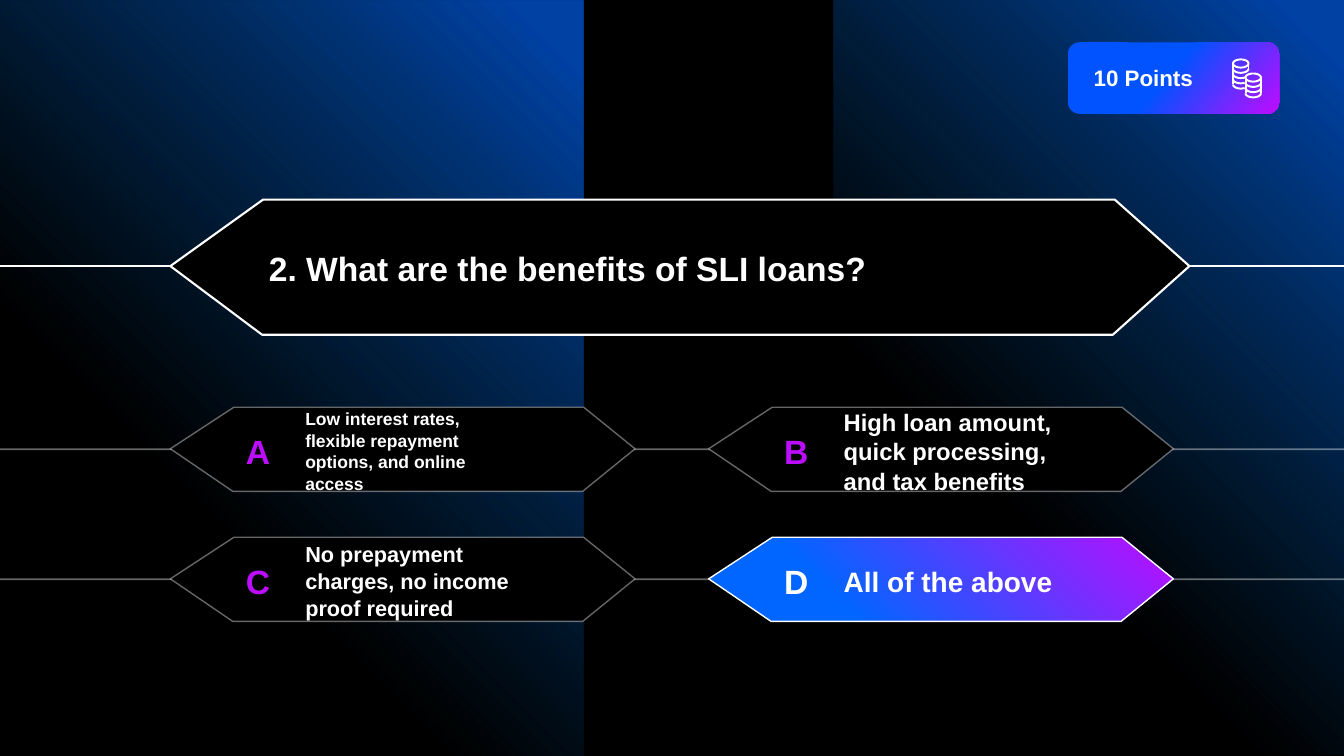
from math import cos, radians, sin

from lxml import etree
from pptx import Presentation
from pptx.dml.color import RGBColor
from pptx.enum.shapes import MSO_CONNECTOR, MSO_SHAPE
from pptx.enum.text import MSO_ANCHOR, PP_ALIGN
from pptx.oxml.ns import qn
from pptx.util import Pt

STRAIGHT = MSO_CONNECTOR.STRAIGHT
RECTANGLE, ROUNDED = MSO_SHAPE.RECTANGLE, MSO_SHAPE.ROUNDED_RECTANGLE
MIDDLE = MSO_ANCHOR.MIDDLE
LEFT, CENTER = PP_ALIGN.LEFT, PP_ALIGN.CENTER

WIDTH, HEIGHT = 960, 540
BLACK, WHITE, PURPLE, BLUE = "000000", "FFFFFF", "BD0DFF", "0066FF"
GLOW = [(6, BLUE, 63), (66, "0070C0", 0), (100, BLACK, 0)]
WINNER = [(0, PURPLE, 100), (73, BLUE, 100)]
BADGE = [(47, "0053FF", 100), (99, PURPLE, 100)]

QUESTION_FRAME = [(0, 47.5), (66.2, 0), (674.6, 0), (727.9, 47.5), (673.2, 96.5), (65.5, 96.5)]
ANSWER_FRAME = [(0, 29.7), (45.4, 0), (295.2, 0), (331.9, 29.7), (294.5, 60.1), (44.6, 60.1)]
FRAME_LEFT, COLUMN_STEP = 121.7, 384.5
ANSWER_TOP, ROW_STEP = 290.9, 92.9
ANSWERS = [
    ("A", "Low interest rates, flexible repayment options, and online access", 12.5),
    ("B", "High loan amount, quick processing, and tax benefits", 17),
    ("C", "No prepayment charges, no income proof required", 15.5),
    ("D", "All of the above", 20),
]
CORRECT = "D"
COIN_WIDTH, COIN_HEIGHT, COIN_STEP = 5.5, 2.9, 3.75


def color(value):
    """Turn a hex string into a colour."""
    return RGBColor.from_string(value)


class QuizSlide:
    """Draws quiz elements on one slide in a shared style."""

    def __init__(self, slide, font="Arial"):
        """Keep the slide and font, and paint the background."""
        self.slide = slide
        self.shapes = slide.shapes
        self.font = font
        slide.background.fill.solid()
        slide.background.fill.fore_color.rgb = color(BLACK)

    def gradient(self, shape, stops, angle=None):
        """Fill a shape with a linear gradient, or one spreading from the top right."""
        shape.fill.gradient()
        fill = shape._element.spPr.find(qn("a:gradFill"))
        for child in list(fill):
            fill.remove(child)
        stop_list = etree.SubElement(fill, qn("a:gsLst"))
        for position, value, opacity in stops:
            stop = etree.SubElement(stop_list, qn("a:gs"), pos=str(position * 1000))
            paint = etree.SubElement(stop, qn("a:srgbClr"), val=value)
            if opacity < 100:
                etree.SubElement(paint, qn("a:alpha"), val=str(opacity * 1000))
        if angle is None:
            spread = etree.SubElement(fill, qn("a:path"), {"path": "circle"})
            etree.SubElement(spread, qn("a:fillToRect"), l="100000", b="100000")
        else:
            etree.SubElement(fill, qn("a:lin"), ang=str(angle * 60000), scaled="0")

    def outline(self, shape, width, opacity=100):
        """Give a shape or connector a white line."""
        shape.line.width = Pt(width)
        shape.line.color.rgb = color(WHITE)
        if opacity < 100:
            paint = shape.line._ln.find(qn("a:solidFill"))[0]
            etree.SubElement(paint, qn("a:alpha"), val=str(opacity * 1000))

    def panel(self, kind, left, top, width, height, stops, angle=None):
        """Add a borderless preset shape with a gradient."""
        shape = self.shapes.add_shape(kind, Pt(left), Pt(top), Pt(width), Pt(height))
        shape.shadow.inherit = False
        shape.line.fill.background()
        self.gradient(shape, stops, angle)
        return shape

    def rule(self, y, width, opacity=100):
        """Add a line across the whole slide."""
        connector = self.shapes.add_connector(STRAIGHT, 0, Pt(y), Pt(WIDTH), Pt(y))
        self.outline(connector, width, opacity)
        etree.SubElement(connector._element.spPr, qn("a:effectLst"))

    def frame(self, points, left, top, line_width, opacity=100, stops=None):
        """Add a pointed frame, black unless it has gradient stops."""
        corners = [(Pt(left + x), Pt(top + y)) for x, y in points]
        builder = self.shapes.build_freeform(*corners[0], scale=1.0)
        builder.add_line_segments(corners[1:], close=True)
        shape = builder.convert_to_shape()
        shape.shadow.inherit = False
        self.outline(shape, line_width, opacity)
        if stops:
            self.gradient(shape, stops)
        else:
            shape.fill.solid()
            shape.fill.fore_color.rgb = color(BLACK)

    def set_text(self, shape, text, size, value=WHITE, align=LEFT, spacing=None):
        """Put bold, vertically centred text in a shape."""
        frame = shape.text_frame
        frame.text = text
        frame.word_wrap = True
        frame.vertical_anchor = MIDDLE
        paragraph = frame.paragraphs[0]
        paragraph.alignment = align
        paragraph.line_spacing = spacing
        font = paragraph.runs[0].font
        font.name, font.size, font.bold = self.font, Pt(size), True
        font.color.rgb = color(value)

    def label(self, left, top, width, height, *style, **options):
        """Add a text box."""
        box = self.shapes.add_textbox(Pt(left), Pt(top), Pt(width), Pt(height))
        self.set_text(box, *style, **options)

    def answer(self, left, top, letter, text, size):
        """Add one answer with its letter."""
        correct = letter == CORRECT
        self.frame(ANSWER_FRAME, left, top, 1, 100 if correct else 40, WINNER if correct else None)
        self.label(left + 89.3, top + 2.2, 167, 57.6, text, size, spacing=1.04)
        self.label(left + 43.9, top + 2.2, 37.4, 57.6, letter, 24,
                   WHITE if correct else PURPLE, CENTER)

    def coins(self, x, y, arc_starts):
        """Add a coin stack whose lower rims begin at the given angles."""
        def rim(level, start, end):
            return [(Pt(x + COIN_WIDTH * cos(radians(angle))),
                     Pt(y + level * COIN_STEP + COIN_HEIGHT * sin(radians(angle))))
                    for angle in range(start, end + 1, 10)]

        strokes = [rim(0, 0, 360)]
        strokes += [rim(level, start, 180) for level, start in enumerate(arc_starts, 1)]
        full_levels = arc_starts.count(0)
        for side, levels in ((-1, len(arc_starts)), (1, full_levels)):
            edge = Pt(x + side * COIN_WIDTH)
            strokes.append([(edge, Pt(y)), (edge, Pt(y + levels * COIN_STEP))])
        builder = self.shapes.build_freeform(*strokes[0][0], scale=1.0)
        builder.add_line_segments(strokes[0][1:], close=False)
        for stroke in strokes[1:]:
            builder.move_to(*stroke[0])
            builder.add_line_segments(stroke[1:], close=False)
        shape = builder.convert_to_shape()
        shape.shadow.inherit = False
        shape.fill.background()
        self.outline(shape, 1.4)


def main():
    """Build and save the quiz slide."""
    presentation = Presentation()
    presentation.slide_width, presentation.slide_height = Pt(WIDTH), Pt(HEIGHT)
    quiz = QuizSlide(presentation.slides.add_slide(presentation.slide_layouts[6]))

    left_glow = quiz.panel(RECTANGLE, 0, 0.7, 417, 539.3, GLOW)
    left_glow._element.spPr.find(qn("a:xfrm")).set("flipH", "1")
    quiz.panel(RECTANGLE, 595.4, 0, 364.6, 539.3, GLOW)

    quiz.rule(190.1, 1.5)
    quiz.frame(QUESTION_FRAME, FRAME_LEFT, 142.6, 1.5)
    quiz.label(185, 143.3, 606.2, 95.8, "2. What are the benefits of SLI loans?", 24)

    for index, answer in enumerate(ANSWERS):
        row, column = divmod(index, 2)
        top = ANSWER_TOP + row * ROW_STEP
        if column == 0:
            quiz.rule(top + 30, 1.25, 40)
        quiz.answer(FRAME_LEFT + column * COLUMN_STEP, top, *answer)

    badge = quiz.panel(ROUNDED, 762.7, 30.2, 151, 51.1, BADGE, 40)
    quiz.set_text(badge, "10 Points", 16)
    badge.text_frame.margin_left = Pt(16)
    quiz.coins(886.3, 45.4, [0, 50, 60, 60])
    quiz.coins(895.2, 55.4, [0, 0, 0])

    presentation.save("out.pptx")


if __name__ == "__main__":
    main()
